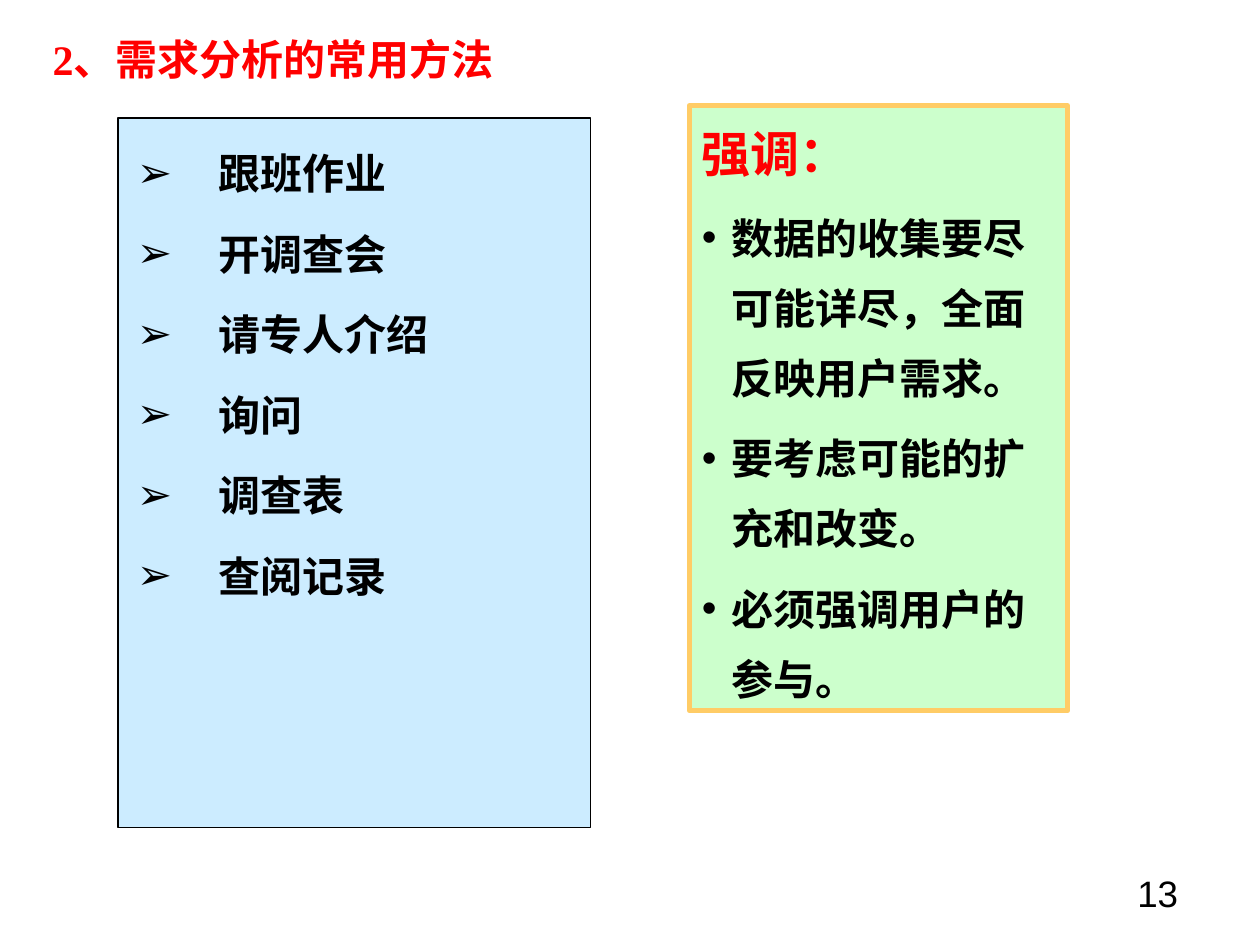
from dataclasses import dataclass

from lxml import etree
from pptx import Presentation
from pptx.dml.color import RGBColor
from pptx.enum.shapes import MSO_SHAPE
from pptx.enum.text import MSO_ANCHOR, PP_ALIGN
from pptx.oxml.ns import qn
from pptx.util import Cm, Pt

RECT = MSO_SHAPE.RECTANGLE
TOP, MIDDLE = MSO_ANCHOR.TOP, MSO_ANCHOR.MIDDLE
LEFT, RIGHT = PP_ALIGN.LEFT, PP_ALIGN.RIGHT


@dataclass(frozen=True)
class Theme:
    black: str = "000000"
    white: str = "FFFFFF"
    red: str = "FF0000"
    blue: str = "CCECFF"
    green: str = "CCFFCC"
    gold: str = "FFCC66"
    sans: str = "Arial"
    serif: str = "Times New Roman"
    head: int = 28
    body: int = 24
    page: int = 21
    lead: int = 40
    gap: int = 6


THEME = Theme()


def add_mark(para, mark, hang):
    """Give a paragraph a bullet with a hanging indent in centimetres."""
    props = para._p.get_or_add_pPr()
    props.set("marL", str(Cm(hang)))
    props.set("indent", str(-Cm(hang)))
    color = etree.SubElement(props, qn("a:buClr"))
    etree.SubElement(color, qn("a:srgbClr")).set("val", THEME.black)
    etree.SubElement(props, qn("a:buFont")).set("typeface", THEME.sans)
    etree.SubElement(props, qn("a:buChar")).set("char", mark)


def put_text(frame, text, *, size=THEME.body, color=THEME.black,
             face=THEME.sans, bold=True, align=LEFT, lead=None,
             mark=None, hang=0):
    """Write text into the empty first paragraph, or into a new one."""
    first = not frame.paragraphs[0].runs
    para = frame.paragraphs[0] if first else frame.add_paragraph()
    para.alignment = align
    if lead:
        para.line_spacing = Pt(lead)
    if not first:
        para.space_before = Pt(THEME.gap)
    if mark:
        add_mark(para, mark, hang)
    run = para.add_run()
    run.text = text
    font = run.font
    font.size, font.bold, font.name = Pt(size), bold, face
    font.color.rgb = RGBColor.from_string(color)


class Page:
    def __init__(self, deck, theme):
        self.theme = theme
        self.slide = deck.slides.add_slide(deck.slide_layouts[6])

    def frame(self, shape, pad, anchor):
        """Set wrapping, anchor and (side, top) padding; return the frame."""
        frame = shape.text_frame
        frame.word_wrap = True
        frame.vertical_anchor = anchor
        side, top = pad
        frame.margin_left = frame.margin_right = Cm(side)
        frame.margin_top = frame.margin_bottom = Cm(top)
        return frame

    def label(self, area, text, anchor=TOP, **style):
        shape = self.slide.shapes.add_textbox(*map(Cm, area))
        put_text(self.frame(shape, (0.38, 0.2), anchor), text, **style)

    def panel(self, area, fill, line, width, pad):
        shape = self.slide.shapes.add_shape(RECT, *map(Cm, area))
        shape.shadow.inherit = False
        shape.fill.solid()
        shape.fill.fore_color.rgb = RGBColor.from_string(fill)
        shape.line.color.rgb = RGBColor.from_string(line)
        shape.line.width = Pt(width)
        return self.frame(shape, pad, TOP)

    def bullets(self, frame, items, mark, hang):
        for item in items:
            put_text(frame, item, lead=self.theme.lead, mark=mark, hang=hang)


def main():
    deck = Presentation()
    deck.slide_width, deck.slide_height = Cm(25.4), Cm(19.05)
    page = Page(deck, THEME)

    ways = page.panel((2.38, 2.38, 9.53, 14.3), THEME.blue, THEME.black,
                      0.75, (0.38, 0.2))
    page.bullets(ways, ["跟班作业", "开调查会", "请专人介绍",
                        "询问", "调查表", "查阅记录"], "➢", 1.64)

    page.label((0.68, 0, 22.86, 2.38), "2、需求分析的常用方法", MIDDLE,
               color=THEME.red, face=THEME.serif)

    notes = page.panel((13.9, 2.13, 7.62, 12.2), THEME.green, THEME.gold,
                       3, (0.25, 0.13))
    put_text(notes, "强调：", size=THEME.head, color=THEME.red,
             lead=THEME.lead)
    page.bullets(notes, ["数据的收集要尽可能详尽，全面反映用户需求。",
                         "要考虑可能的扩充和改变。",
                         "必须强调用户的参与。"], "•", 0.6)

    page.label((18.2, 17.35, 5.93, 1.32), "13", size=THEME.page,
               bold=False, align=RIGHT)
    deck.save("out.pptx")


if __name__ == "__main__":
    main()
